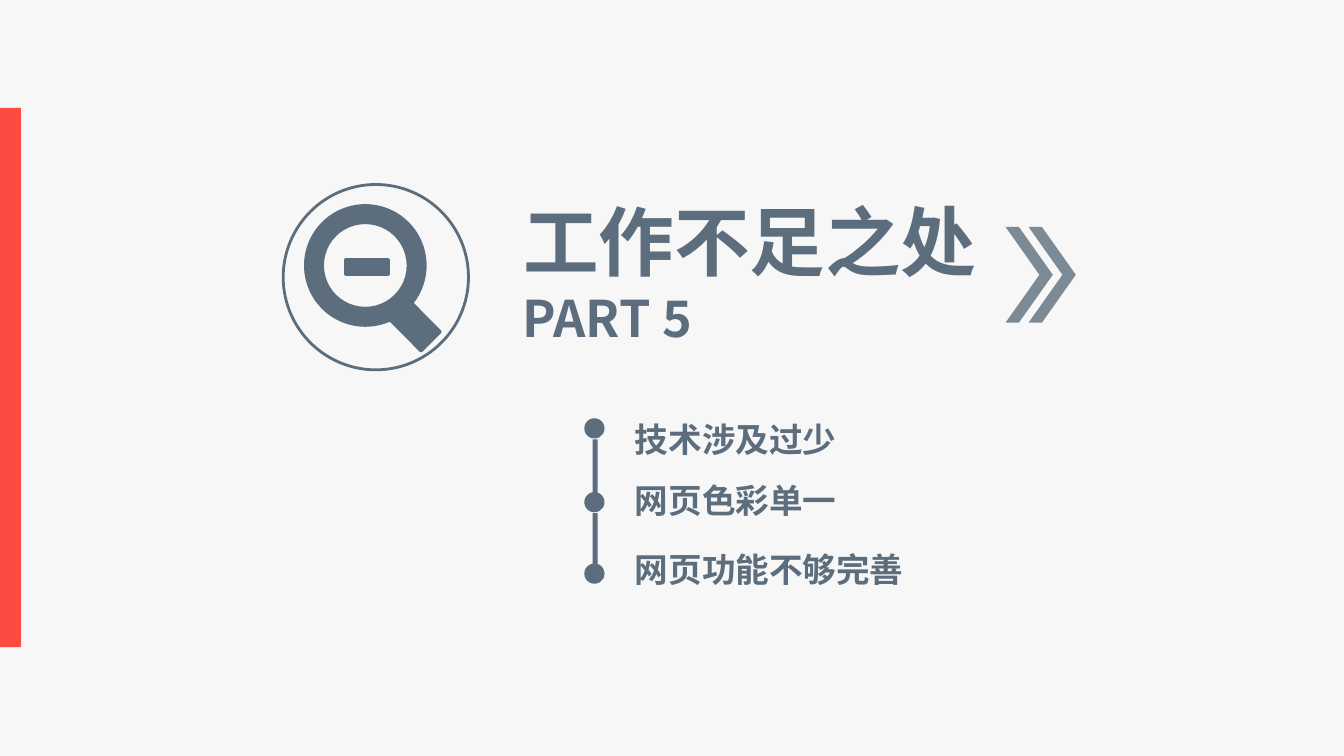
from lxml import etree
from pptx import Presentation
from pptx.dml.color import RGBColor
from pptx.enum import shapes, text
from pptx.oxml import ns
from pptx.util import Cm, Pt

COLORS = {"slate": "5C6D7D", "red": "FC4B41", "paper": "F7F7F7"}
FONT = "Noto Sans CJK SC"
KINDS = shapes.MSO_SHAPE


def add_solid(kind, left, top, width, height, color="slate", border=0):
    shape = page.shapes.add_shape(kind, Cm(left), Cm(top), Cm(width), Cm(height))
    shape.shadow.inherit = False
    shape.fill.solid()
    shape.fill.fore_color.rgb = RGBColor.from_string(COLORS[color])
    if border:
        shape.line.color.rgb = RGBColor.from_string(COLORS[color])
        shape.line.width = Pt(border)
    else:
        shape.line.fill.background()
    return shape


def format_text(box, left, top, width, height, size):
    box.left, box.top, box.width, box.height = Cm(left), Cm(top), Cm(width), Cm(height)
    frame = box.text_frame
    frame.word_wrap = True
    frame.auto_size = text.MSO_AUTO_SIZE.NONE
    frame.vertical_anchor = text.MSO_ANCHOR.MIDDLE
    for para in frame.paragraphs:
        para.alignment = text.PP_ALIGN.LEFT
        for span in para.runs:
            span.font.size = Pt(size)
            span.font.bold = True
            span.font.name = FONT
            span.font.color.rgb = RGBColor.from_string(COLORS["slate"])
            etree.SubElement(span.font._element, ns.qn("a:ea"), typeface=FONT)


deck = Presentation()
deck.slide_width, deck.slide_height = Cm(33.88), Cm(19.05)
page = deck.slides.add_slide(deck.slide_layouts[1])
page.background.fill.solid()
page.background.fill.fore_color.rgb = RGBColor.from_string(COLORS["paper"])

title = page.shapes.title
title.text_frame.text = "工作不足之处"
format_text(title, 12.93, 4.52, 14, 3.07, 54)

part = page.shapes.add_textbox(0, 0, 0, 0)
part.text_frame.text = "PART 5"
format_text(part, 12.93, 6.68, 7.01, 2.64, 36)

points = page.placeholders[1]
points.text_frame.text = "技术涉及过少\n网页色彩单一\n网页功能不够完善"
for para, gap in zip(points.text_frame.paragraphs, (0, 15, 20)):
    para.space_before = Pt(gap)
    props = para._p.get_or_add_pPr()
    props.set("marL", "0")
    props.set("indent", "0")
    etree.SubElement(props, ns.qn("a:buNone"))
format_text(points, 15.75, 10, 8.2, 5.4, 24)

for left in (25.35, 25.93):
    chevron = add_solid(KINDS.CHEVRON, left, 5.72, 1.19, 2.41)
    chevron.adjustments[0] = 0.717
    tint = chevron.fill._xPr.find(ns.qn("a:solidFill"))[0]
    etree.SubElement(tint, ns.qn("a:alpha"), val="79000")

dot_tops = (10.54, 12.4, 14.2)
for top in dot_tops:
    add_solid(KINDS.OVAL, 14.73, top, 0.51, 0.51)
for top in dot_tops[:-1]:
    add_solid(KINDS.RECTANGLE, 14.94, top + 0.53, 0.13, 1.47)

add_solid(KINDS.RECTANGLE, 0, 2.72, 0.53, 13.59, "red")

badge = add_solid(KINDS.OVAL, 7.14, 4.65, 4.67, 4.67, border=2)
badge.fill.background()
lens = add_solid(KINDS.DONUT, 7.7, 5.18, 3.02, 3.02, border=2)
lens.adjustments[0] = 0.143
handle = add_solid(KINDS.RECTANGLE, 9.8, 7.82, 1.24, 0.69, border=2)
handle.rotation = 45.2
minus = add_solid(KINDS.RECTANGLE, 8.71, 6.55, 1.09, 0.36, border=2)

deck.save("out.pptx")
